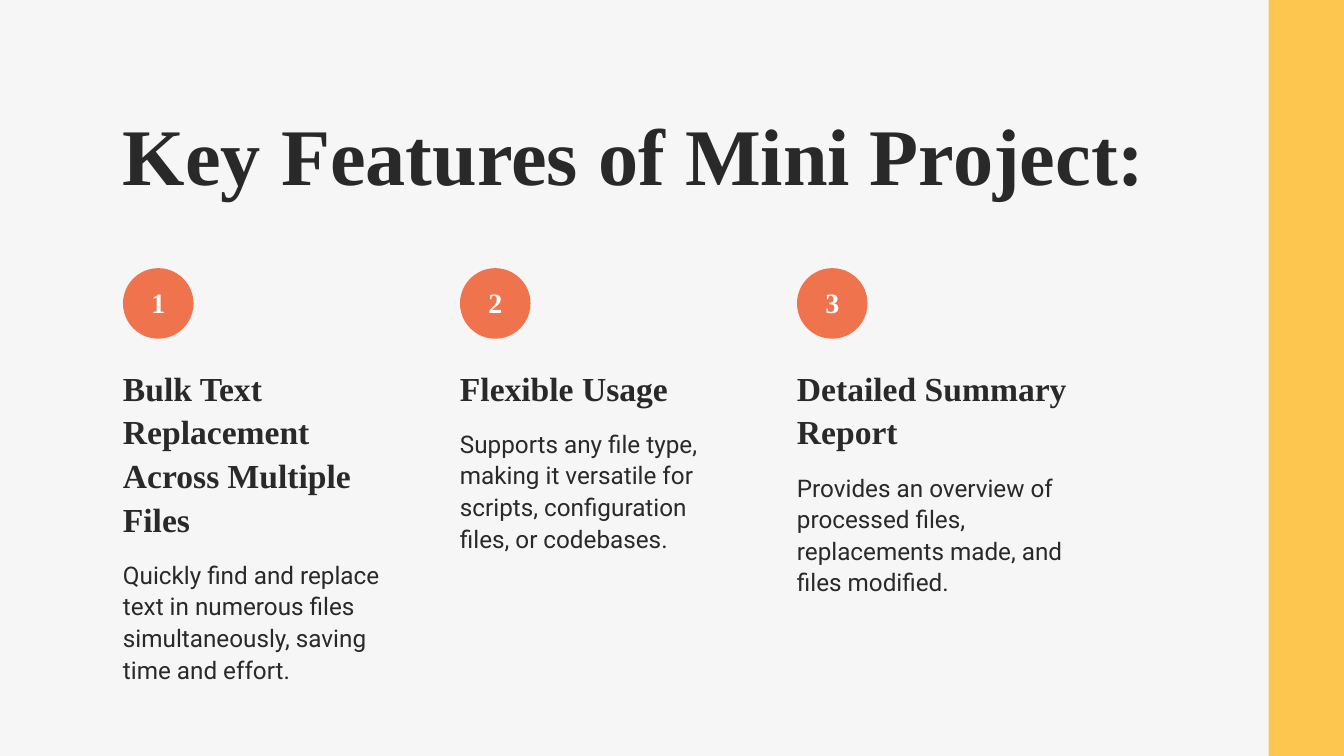
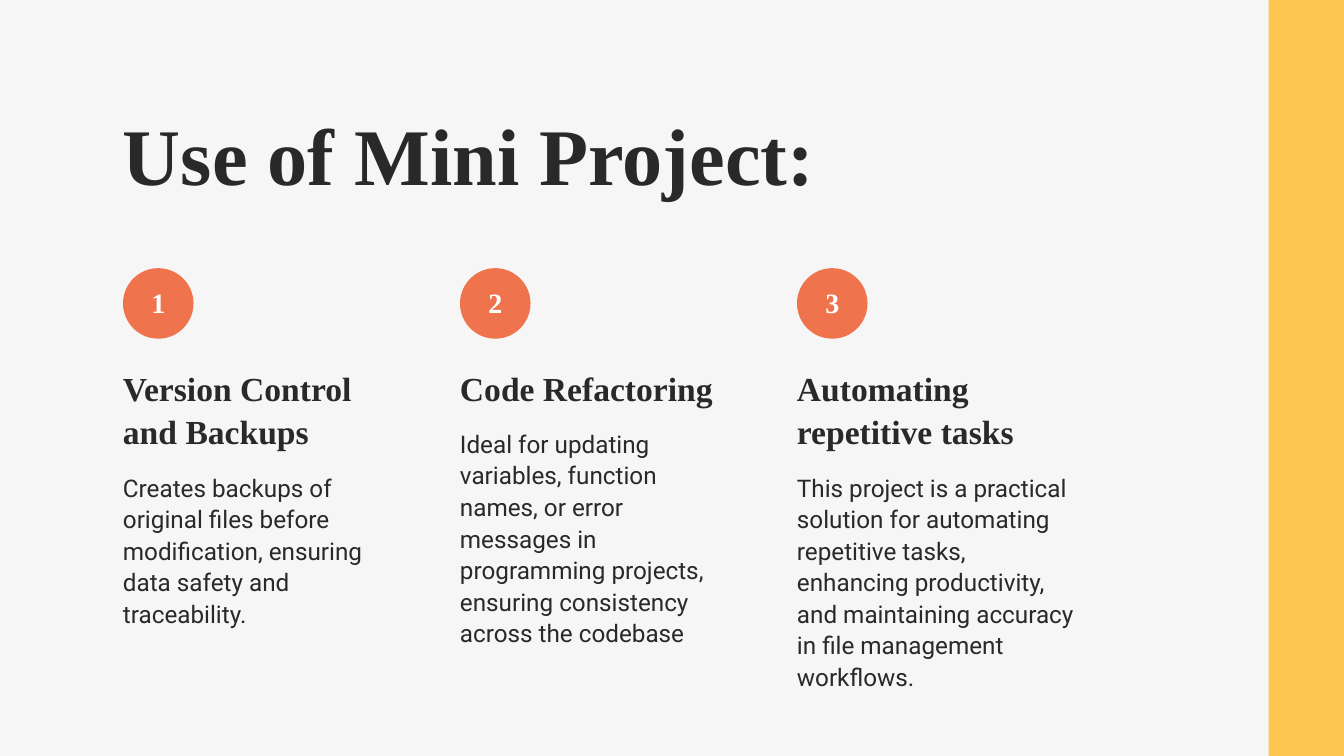
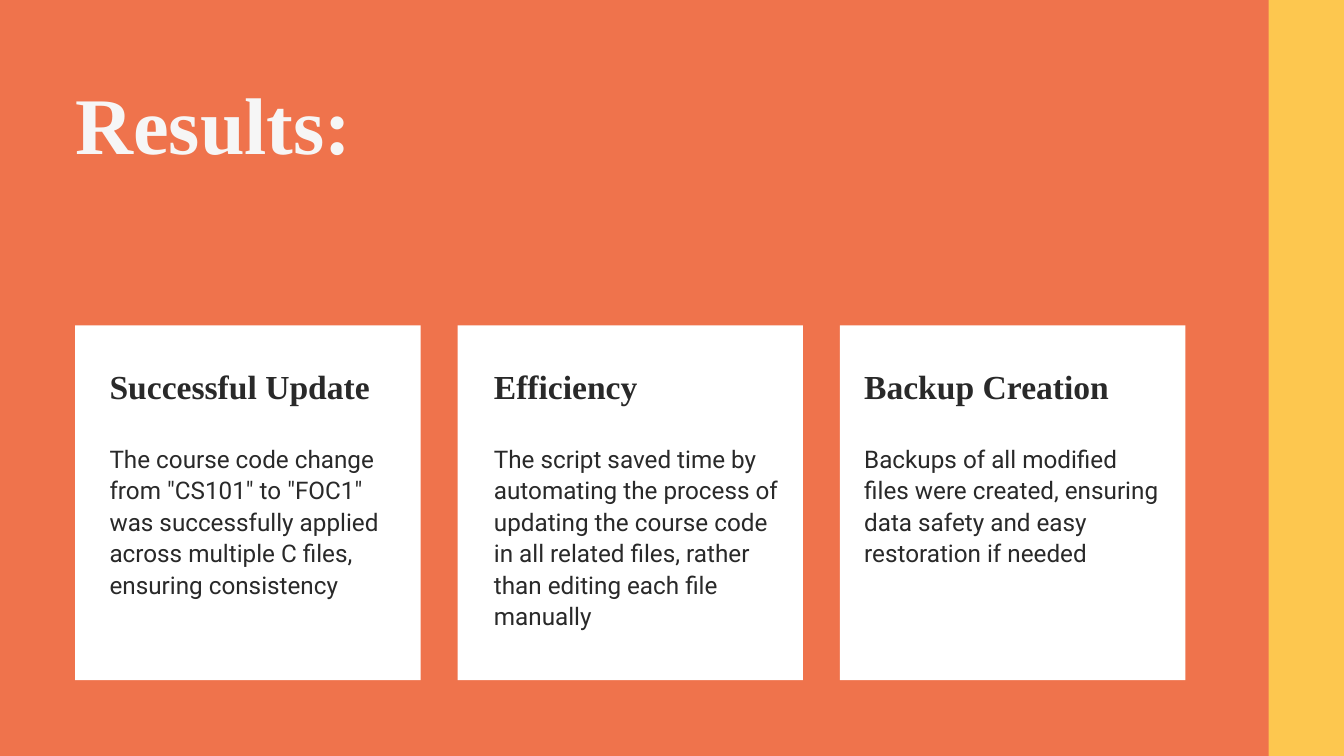
from pptx import Presentation
from pptx.dml.color import RGBColor
from pptx.enum.shapes import MSO_SHAPE
from pptx.enum.text import MSO_ANCHOR, MSO_AUTO_SIZE, PP_ALIGN
from pptx.util import Inches, Pt

RECT, OVAL = MSO_SHAPE.RECTANGLE, MSO_SHAPE.OVAL
LEFT, CENTER = PP_ALIGN.LEFT, PP_ALIGN.CENTER
TOP = MSO_ANCHOR.TOP
GROW = MSO_AUTO_SIZE.SHAPE_TO_FIT_TEXT

PALE = RGBColor(0xF6, 0xF6, 0xF6)
WHITE = RGBColor(0xFF, 0xFF, 0xFF)
DARK = RGBColor(0x29, 0x29, 0x29)
CORAL = RGBColor(0xEF, 0x73, 0x4C)
GOLD = RGBColor(0xFD, 0xC7, 0x4F)
SERIF, SANS = "Times New Roman", "Roboto"

COLS, ROWS = 20, 11.25
HEAD_ROW, BODY_ROW = 0.65, 0.47

FEATURES = [
    ("Bulk Text Replacement Across Multiple Files", 4,
     "Quickly find and replace text in numerous files simultaneously, "
     "saving time and effort.", 4),
    ("Flexible Usage", 1,
     "Supports any file type, making it versatile for scripts, "
     "configuration files, or codebases.", 4),
    ("Detailed Summary Report", 2,
     "Provides an overview of processed files, replacements made, "
     "and files modified.", 4),
]
USES = [
    ("Version Control and Backups", 2,
     "Creates backups of original files before modification, ensuring "
     "data safety and traceability.", 5),
    ("Code Refactoring", 1,
     "Ideal for updating variables, function names, or error messages in "
     "programming projects, ensuring consistency across the codebase", 7),
    ("Automating repetitive tasks", 2,
     "This project is a practical solution for automating repetitive tasks, "
     "enhancing productivity, and maintaining accuracy in file management "
     "workflows.", 8),
]
RESULTS = [
    ("Successful Update", 0.51,
     'The course code change from "CS101" to "FOC1" was successfully '
     "applied across multiple C files, ensuring consistency", 5),
    ("Efficiency", 0.54,
     "The script saved time by automating the process of updating the course "
     "code in all related files, rather than editing each file manually", 6),
    ("Backup Creation", 0.36,
     "Backups of all modified files were created, ensuring data safety and "
     "easy restoration if needed", 4),
]


def write(shape, text, font=SERIF, size=36, lead=1.3, color=DARK,
          bold=True, align=LEFT):
    frame = shape.text_frame
    frame.margin_left = frame.margin_right = 0
    frame.margin_top = frame.margin_bottom = 0
    frame.word_wrap = True
    frame.auto_size = GROW
    frame.vertical_anchor = TOP
    par = frame.paragraphs[0]
    par.alignment = align
    par.line_spacing = Pt(size * lead)
    run = par.add_run()
    run.text = text
    run.font.name = font
    run.font.size = Pt(size)
    run.font.bold = bold
    run.font.color.rgb = color


class Deck:
    def __init__(self):
        self.prs = Presentation()
        self.prs.slide_width = Inches(20)
        self.prs.slide_height = Inches(11.25)
        self.slide = None

    def box(self, x, y, w, h):
        col = self.prs.slide_width / COLS
        row = self.prs.slide_height / ROWS
        return round(x * col), round(y * row), round(w * col), round(h * row)

    def page(self, back):
        self.slide = self.prs.slides.add_slide(self.prs.slide_layouts[5])
        fill = self.slide.background.fill
        fill.solid()
        fill.fore_color.rgb = back
        self.block(RECT, 18.88, 0, 1.12, ROWS, GOLD)

    def title(self, text, x, y, w, color=DARK):
        shape = self.slide.shapes.title
        shape.left, shape.top, shape.width, shape.height = self.box(x, y, w, 1.44)
        write(shape, text, size=86, lead=1.2, color=color)

    def block(self, kind, x, y, w, h, color):
        shape = self.slide.shapes.add_shape(kind, *self.box(x, y, w, h))
        shape.shadow.inherit = False
        shape.fill.solid()
        shape.fill.fore_color.rgb = color
        shape.line.fill.background()

    def label(self, text, x, y, w, h, **style):
        write(self.slide.shapes.add_textbox(*self.box(x, y, w, h)), text, **style)

    def head(self, text, x, y, w, lines=1):
        self.label(text, x, y, w, HEAD_ROW * lines - 0.02)

    def body(self, text, x, y, w, lines):
        self.label(text, x, y, w, BODY_ROW * lines,
                   font=SANS, size=26, bold=False)

    def badge(self, num, x, y):
        self.block(OVAL, x, y, 1.05, 1.05, CORAL)
        self.label(str(num), x + 0.26, y + 0.26, 0.53, 0.52,
                   size=30, lead=1.2, color=WHITE, align=CENTER)

    def points(self, title, width, items):
        self.page(PALE)
        self.title(title, 1.83, 1.57, width)
        for i, (head, rows, body, lines) in enumerate(items):
            x = 1.83 + i * 5.015
            self.badge(i + 1, x, 3.99)
            self.head(head, x, 5.42, 4.17, rows)
            self.body(body, x, 5.7 + HEAD_ROW * rows, 4.17, lines)

    def cards(self, title, items):
        self.page(CORAL)
        self.title(title, 1.12, 1.11, 14.68, color=PALE)
        for i, (head, inset, body, lines) in enumerate(items):
            x = 1.12 + i * 5.69
            self.block(RECT, x, 4.84, 5.14, 5.28, WHITE)
            self.head(head, x + inset, 5.39, 4.41)
            self.body(body, x + inset, 6.57, 4.41, lines)


def main():
    deck = Deck()
    deck.points("Key Features of Mini Project:", 16.63, FEATURES)
    deck.points("Use of Mini Project:", 11.07, USES)
    deck.cards("Results:", RESULTS)
    deck.prs.save("out.pptx")


if __name__ == "__main__":
    main()
